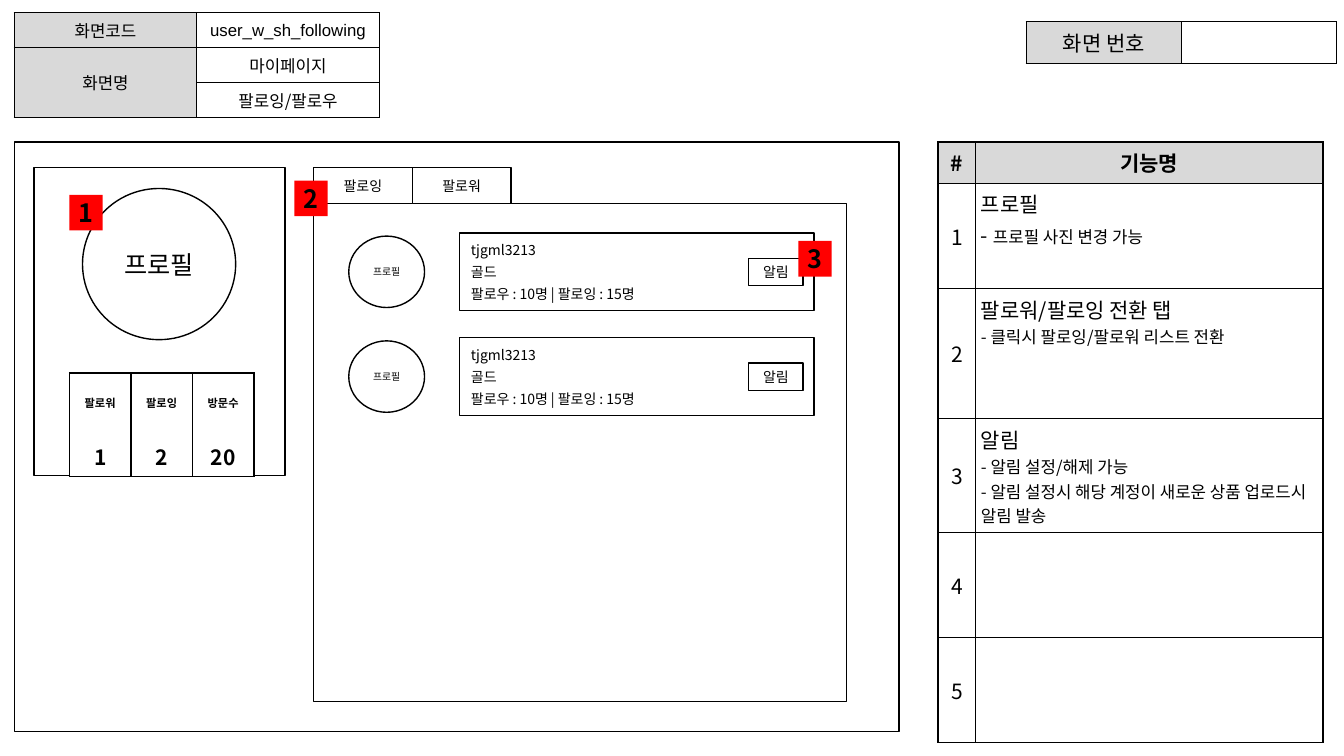
from lxml.etree import SubElement
from pptx import Presentation
from pptx.dml.color import RGBColor
from pptx.enum.shapes import MSO_SHAPE
from pptx.enum.text import MSO_ANCHOR, PP_ALIGN
from pptx.oxml import parse_xml
from pptx.oxml.ns import nsdecls, qn
from pptx.util import Cm, Pt

KOREAN = "Noto Sans CJK KR"
BLACK, WHITE, GRAY, RED = "000000", "FFFFFF", "D9D9D9", "FF0000"
CENTER, LEFT = PP_ALIGN.CENTER, PP_ALIGN.LEFT
PAD = 0.13


def color(value):
    return RGBColor.from_string(value)


def paint(target, value):
    target.fill.solid()
    target.fill.fore_color.rgb = color(value)


def write(frame, lines, size=12, align=CENTER, font=KOREAN, bold=False, **spacing):
    for index, line in enumerate(lines):
        paragraph = frame.paragraphs[0] if index == 0 else frame.add_paragraph()
        paragraph.alignment = align
        for name, value in spacing.items():
            if index or name != "space_before":
                setattr(paragraph, name, value)
        runs = [(line, size)] if isinstance(line, str) else line
        for text, run_size in runs:
            run = paragraph.add_run()
            run.text = text
            style = {"name": font, "size": Pt(run_size), "bold": bold}
            for name, value in style.items():
                setattr(run.font, name, value)
            run.font.color.rgb = color(BLACK)
            SubElement(run.font._element, qn("a:ea")).set("typeface", font)


def set_margins(target, horizontal=PAD, vertical=PAD):
    margins = {"margin_left": horizontal, "margin_right": horizontal,
               "margin_top": vertical, "margin_bottom": vertical}
    for name, value in margins.items():
        setattr(target, name, Cm(value))


def add_box(slide, box, lines=(), kind=MSO_SHAPE.RECTANGLE, fill=WHITE,
            line=BLACK, anchor=MSO_ANCHOR.MIDDLE, vertical=PAD, **text_style):
    shape = slide.shapes.add_shape(kind, *map(Cm, box))
    shape.shadow.inherit = False
    paint(shape, fill)
    if line:
        shape.line.color.rgb = color(line)
        shape.line.width = Pt(1)
    else:
        shape.line.fill.background()
    frame = shape.text_frame
    frame.word_wrap = True
    frame.vertical_anchor = anchor
    set_margins(frame, PAD, vertical)
    write(frame, lines, **text_style)
    return shape


def add_grid(slide, left, top, widths, heights):
    frame = slide.shapes.add_table(len(heights), len(widths), Cm(left), Cm(top),
                                   Cm(sum(widths)), Cm(sum(heights)))
    table = frame.table
    table.first_row = table.horz_banding = False
    for column, width in zip(table.columns, widths):
        column.width = Cm(width)
    for row, height in zip(table.rows, heights):
        row.height = Cm(height)
    for cell in table.iter_cells():
        properties = cell._tc.get_or_add_tcPr()
        for side in ("lnL", "lnR", "lnT", "lnB"):
            properties.append(parse_xml(
                f'<a:{side} {nsdecls("a")} w="12700"><a:solidFill>'
                f'<a:srgbClr val="{BLACK}"/></a:solidFill></a:{side}>'))
        paint(cell, WHITE)
    return table


def fill_cell(cell, lines, fill=WHITE, anchor=MSO_ANCHOR.MIDDLE, padding=PAD,
              **text_style):
    paint(cell, fill)
    set_margins(cell, padding, padding)
    cell.vertical_anchor = anchor
    write(cell.text_frame, lines, **text_style)


def add_badge(slide, left, top, number):
    add_box(slide, (left, top, 0.84, 0.9), [number], fill=RED, line=None,
            size=18, bold=True)


def add_screen_info(slide, left, top):
    table = add_grid(slide, left, top, [4.6] * 2, [0.88, 0.86, 0.88])
    table.cell(1, 0).merge(table.cell(2, 0))
    for row, label in enumerate(["화면코드", "화면명"]):
        fill_cell(table.cell(row, 0), [label], fill=GRAY)
    fill_cell(table.cell(0, 1), ["user_w_sh_following"], padding=0.02, font="Arial")
    for row, name in enumerate(["마이페이지", "팔로잉/팔로우"], 1):
        fill_cell(table.cell(row, 1), [name])


def add_screen_number(slide, left, top):
    table = add_grid(slide, left, top, [3.91] * 2, [1.04])
    fill_cell(table.cell(0, 0), ["화면 번호"], fill=GRAY, size=15)


def add_feature_list(slide, left, top):
    features = [
        [[("프로필", 15)], [("- ", 15), ("프로필 사진 변경 가능", 12)]],
        [[("팔로워/팔로잉 전환 탭", 15)], "- 클릭시 팔로잉/팔로워 리스트 전환"],
        [[("알림", 15)], "- 알림 설정/해제 가능",
         "- 알림 설정시 해당 계정이 새로운 상품 업로드시 알림 발송"],
        [],
        [],
    ]
    table = add_grid(slide, left, top, [0.95, 8.75],
                     [1.04, 2.65, 3.28, 2.87, 2.65, 2.65])
    for column, heading in enumerate(["#", "기능명"]):
        fill_cell(table.cell(0, column), [heading], fill=GRAY, size=15, bold=True)
    for row, lines in enumerate(features, 1):
        fill_cell(table.cell(row, 0), [str(row)], size=15)
        fill_cell(table.cell(row, 1), lines, anchor=MSO_ANCHOR.TOP, align=LEFT)


def add_profile_panel(slide, left, top, width, height):
    add_box(slide, (left, top, width, height))
    add_box(slide, (left + 1.22, top + 0.53, 3.86, 3.81), ["프로필"],
            kind=MSO_SHAPE.OVAL, size=18)
    table = add_grid(slide, left + 0.89, top + 5.18, [1.55] * 3, [2.6])
    counts = {"팔로워": "1", "팔로잉": "2", "방문수": "20"}
    for column, (label, count) in enumerate(counts.items()):
        fill_cell(table.cell(0, column), [[(label, 8)], [(count, 15)]],
                  anchor=MSO_ANCHOR.TOP, bold=True, line_spacing=2.0)
    add_badge(slide, left + 0.89, top + 0.69, "1")


def add_member(slide, left, top):
    add_box(slide, (left, top + 0.08, 1.91, 1.8), ["프로필"],
            kind=MSO_SHAPE.OVAL, size=7)
    card = add_box(slide, (left + 2.79, top, 8.94, 1.96),
                   ["tjgml3213", "골드", "팔로우 : 10명 | 팔로잉 : 15명"],
                   vertical=0, size=10, align=LEFT, space_before=Pt(3.6))
    card.text_frame.margin_left = Cm(0.29)
    add_box(slide, (left + 10.08, top + 0.64, 1.37, 0.69), ["알림"], size=10)


def add_follow_panel(slide, left, top, width, height):
    tab_width, tab_height = 2.49, 0.91
    add_box(slide, (left, top + tab_height, width, height - tab_height))
    for index, label in enumerate(["팔로잉", "팔로워"]):
        add_box(slide, (left + index * tab_width, top, tab_width, tab_height),
                [label], size=10)
    for index in range(2):
        add_member(slide, left + 0.89, top + 1.65 + index * 2.64)
    add_badge(slide, left - 0.48, top + 0.33, "2")
    add_badge(slide, left + 12.22, top + 1.85, "3")


def add_screen(slide, left, top, width, height):
    add_box(slide, (left, top, width, height))
    add_profile_panel(slide, left + 0.5, top + 0.64, 6.32, 7.77)
    add_follow_panel(slide, left + 7.54, top + 0.64, 13.44, 13.46)


def main():
    presentation = Presentation()
    presentation.slide_width = Cm(33.87)
    presentation.slide_height = Cm(19.05)
    slide = presentation.slides.add_slide(presentation.slide_layouts[6])
    add_screen_number(slide, 25.86, 0.55)
    add_feature_list(slide, 23.64, 3.58)
    add_screen(slide, 0.36, 3.58, 22.3, 14.86)
    add_screen_info(slide, 0.36, 0.32)
    presentation.save("out.pptx")


if __name__ == "__main__":
    main()
